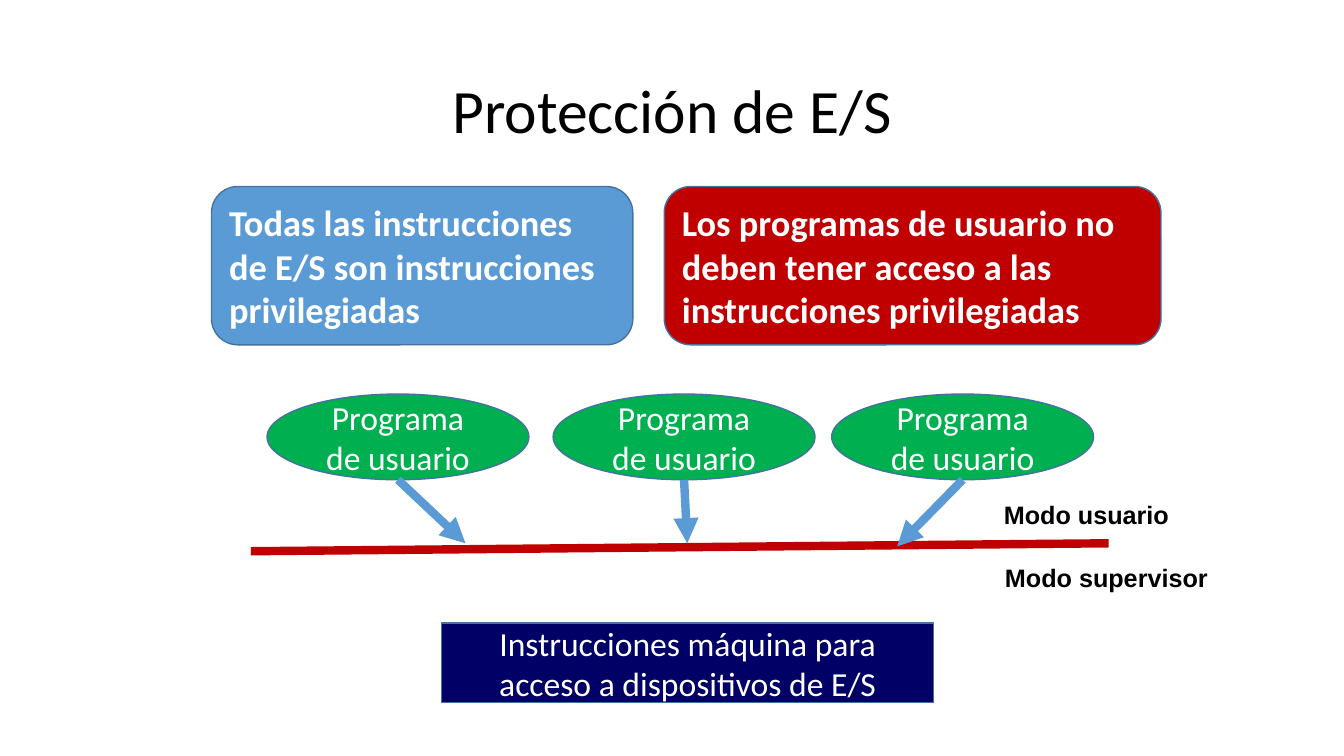
"""Builds the slide on input/output protection."""
import lxml.etree
import pptx
import pptx.dml.color
import pptx.enum.shapes
import pptx.enum.text
import pptx.oxml.ns
import pptx.util

Cm = pptx.util.Cm
Pt = pptx.util.Pt
RGBColor = pptx.dml.color.RGBColor
SHAPE = pptx.enum.shapes.MSO_SHAPE
ALIGN = pptx.enum.text.PP_ALIGN
MIDDLE = pptx.enum.text.MSO_ANCHOR.MIDDLE
qn = pptx.oxml.ns.qn

BLACK = RGBColor(0x00, 0x00, 0x00)
WHITE = RGBColor(0xFF, 0xFF, 0xFF)
NAVY = RGBColor(0x00, 0x00, 0x66)
RED = RGBColor(0xC0, 0x00, 0x00)
GREEN = RGBColor(0x00, 0xB0, 0x50)
BLUE = RGBColor(0x5B, 0x9B, 0xD5)
OUTLINE = RGBColor(0x43, 0x73, 0x9E)


def write(tf, text, size=24, color=WHITE, font="Calibri", bold=False,
          align=ALIGN.CENTER, spacing=None):
    p = tf.paragraphs[0]
    p.alignment = align
    p.line_spacing = spacing
    r = p.add_run()
    r.text = text
    r.font.name = font
    r.font.size = Pt(size)
    r.font.bold = bold
    r.font.color.rgb = color


class SlideBuilder:
    def __init__(self, slide, outline=OUTLINE, line_width=6):
        self.slide = slide
        self.outline = outline
        self.line_width = line_width

    def title(self, text, x, y, w, h):
        sp = self.slide.shapes.title
        sp.left, sp.top, sp.width, sp.height = Cm(x), Cm(y), Cm(w), Cm(h)
        sp.text_frame.vertical_anchor = MIDDLE
        write(sp.text_frame, text, size=44, color=BLACK, spacing=0.9)

    def box(self, kind, text, x, y, w, h, fill, **style):
        sp = self.slide.shapes.add_shape(kind, Cm(x), Cm(y), Cm(w), Cm(h))
        sp.shadow.inherit = False
        sp.fill.solid()
        sp.fill.fore_color.rgb = fill
        sp.line.color.rgb = self.outline
        sp.line.width = Pt(1)
        sp.text_frame.word_wrap = True
        sp.text_frame.vertical_anchor = MIDDLE
        write(sp.text_frame, text, **style)

    def line(self, x1, y1, x2, y2, color, arrow=False):
        cx = self.slide.shapes.add_connector(
            pptx.enum.shapes.MSO_CONNECTOR.STRAIGHT, Cm(x1), Cm(y1), Cm(x2), Cm(y2))
        cx.line.color.rgb = color
        cx.line.width = Pt(self.line_width)
        props = cx._element.spPr
        if arrow:
            lxml.etree.SubElement(props.find(qn("a:ln")), qn("a:tailEnd"), type="triangle")
        lxml.etree.SubElement(props, qn("a:effectLst"))

    def label(self, text, x, y, w, h):
        sp = self.slide.shapes.add_textbox(Cm(x), Cm(y), Cm(w), Cm(h))
        tf = sp.text_frame
        tf.word_wrap = False
        tf.auto_size = pptx.enum.text.MSO_AUTO_SIZE.SHAPE_TO_FIT_TEXT
        write(tf, text, size=18, color=BLACK, font="Arial", bold=True)


def main():
    prs = pptx.Presentation()
    prs.slide_width, prs.slide_height = Cm(33.87), Cm(19.05)
    s = SlideBuilder(prs.slides.add_slide(prs.slide_layouts[5]))

    s.title("Protección de E/S", 2.34, 1.02, 29.21, 3.68)
    s.box(SHAPE.RECTANGLE, "Instrucciones máquina para acceso a dispositivos de E/S",
          11.13, 15.7, 12.4, 2.01, NAVY)
    s.line(6.32, 13.89, 27.94, 13.69, RED)

    top, width, height = 9.93, 6.6, 2.16
    for left, tip_x, tip_y in ((6.73, 11.73, 13.69), (13.94, 17.32, 13.69), (20.96, 22.61, 13.77)):
        s.box(SHAPE.OVAL, "Programa de usuario", left, top, width, height, GREEN)
        s.line(left + width / 2, top + height, tip_x, tip_y, BLUE, arrow=True)

    s.label("Modo usuario", 25.02, 12.47, 4.72, 1.02)
    s.label("Modo supervisor", 25.04, 14.05, 5.69, 1.02)

    for text, left, width, fill in (
            ("Todas las instrucciones de E/S son instrucciones privilegiadas", 5.33, 10.62, BLUE),
            ("Los programas de usuario no deben tener acceso a las instrucciones privilegiadas",
             16.74, 12.52, RED)):
        s.box(SHAPE.ROUNDED_RECTANGLE, text, left, 4.7, width, 3.99, fill,
              size=26, bold=True, align=ALIGN.LEFT)

    prs.save("out.pptx")


if __name__ == "__main__":
    main()
